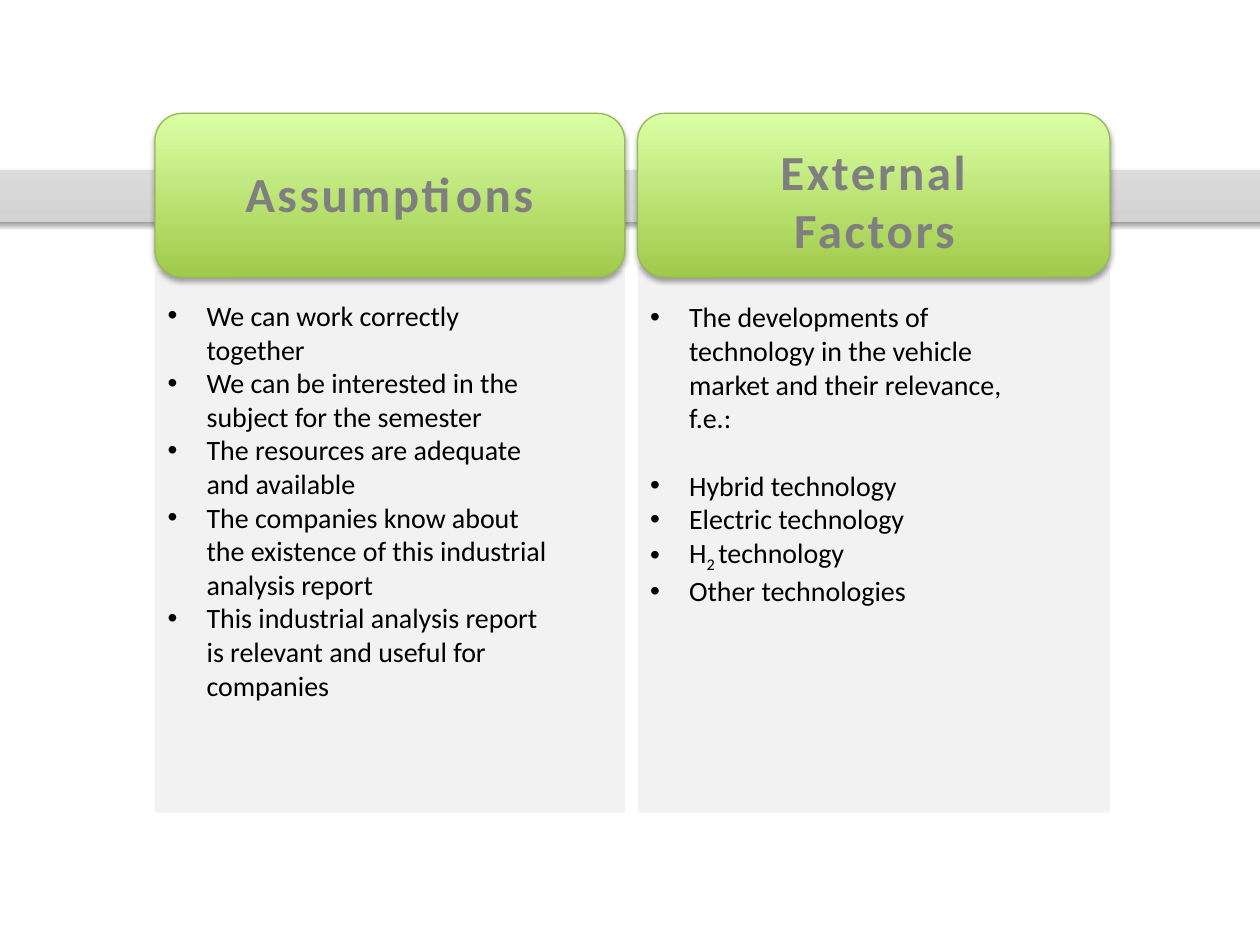
from lxml import etree
from pptx import Presentation
from pptx.dml.color import RGBColor
from pptx.enum.shapes import MSO_SHAPE
from pptx.enum.text import MSO_ANCHOR, MSO_AUTO_SIZE, PP_ALIGN
from pptx.oxml.ns import qn
from pptx.util import Emu, Inches, Pt

RECTANGLE, ROUNDED = MSO_SHAPE.RECTANGLE, MSO_SHAPE.ROUNDED_RECTANGLE
MINUS = MSO_SHAPE.MATH_MINUS
TOP, GROW = MSO_ANCHOR.TOP, MSO_AUTO_SIZE.SHAPE_TO_FIT_TEXT
LEFT, CENTER = PP_ALIGN.LEFT, PP_ALIGN.CENTER
COMPARISON_LAYOUT = 4
FONT = "Calibri"

# Content: each paragraph is a list of (text, baseline in percent) spans
COLUMNS = [
    dict(
        heading="Assumptions",
        panel=(1.23, 2.15, 3.73, 4.3),
        heading_at=(1.7, 1.25, 2.78, 0.57),
        list_at=(1.23, 2.32, 3.24, 3.33),
        items=[
            [("We can work correctly together", 0)],
            [("We can be interested in the subject for the semester", 0)],
            [("The resources are adequate and available", 0)],
            [("The companies know about the existence of this industrial analysis report", 0)],
            [("This industrial analysis report is relevant and useful for companies", 0)],
        ],
        gaps={},
    ),
    dict(
        heading="External Factors",
        panel=(5.06, 2.11, 3.75, 4.34),
        heading_at=(5.42, 1.07, 3.04, 1.04),
        list_at=(5.06, 2.33, 3.26, 2.52),
        items=[
            [("The developments of technology in the vehicle market and their relevance, f.e.:", 0)],
            [("Hybrid technology", 0)],
            [("Electric technology", 0)],
            [("H", 0), ("2 ", -25), ("technology", 0)],
            [("Other technologies", 0)],
        ],
        gaps={1: 19.5},
    ),
]
BAR_AT = (-2.03, 0.69, 13.9, 1.73)
TAB_TOP, TAB_HEIGHT = 0.9, 1.3
BAR_STOPS = [(0, "BDBDBD"), (35, "D1D1D1"), (100, "EEEEEE")]
TAB_STOPS = [(0, "A0CA4A"), (100, "DAFFA5")]

deck = Presentation()
deck.slide_width, deck.slide_height = Inches(10), Inches(7.5)
page = deck.slides.add_slide(deck.slide_layouts[COMPARISON_LAYOUT])


def color(value):
    return RGBColor.from_string(value)


def add_child(parent, tag, **attributes):
    child = etree.SubElement(parent, qn(tag))
    for name, value in attributes.items():
        child.set(name, str(value))
    return child


def add_box(kind, at, fill=None, stops=None, line=None, shadow=None):
    box = page.shapes.add_shape(kind, *map(Inches, at))
    if stops:
        box.fill.gradient()
        box.fill.gradient_angle = 90
        stop_list = box._element.spPr.find(".//" + qn("a:gsLst"))
        for stop in list(stop_list):
            stop_list.remove(stop)
        for position, value in stops:
            stop = add_child(stop_list, "a:gs", pos=position * 1000)
            add_child(stop, "a:srgbClr", val=value)
    else:
        box.fill.solid()
        box.fill.fore_color.rgb = color(fill)
    if line:
        box.line.color.rgb = color(line)
        box.line.width = Pt(0.75)
    else:
        box.line.fill.background()
    box.shadow.inherit = False
    if shadow:
        alpha, blur, distance = shadow
        effects = box._element.spPr.find(qn("a:effectLst"))
        outer = add_child(effects, "a:outerShdw", blurRad=Pt(blur), dist=Pt(distance),
                          dir=90 * 60000, rotWithShape=0)
        shade = add_child(outer, "a:srgbClr", val="000000")
        add_child(shade, "a:alpha", val=alpha * 1000)


def write_text(box, at, paragraphs, size, ink, bold=False, align=LEFT,
               spacing=0, bullets=False, gaps=None):
    box.left, box.top, box.width, box.height = map(Inches, at)
    frame = box.text_frame
    frame.word_wrap, frame.auto_size, frame.vertical_anchor = True, GROW, TOP
    for index, spans in enumerate(paragraphs):
        para = frame.add_paragraph() if index else frame.paragraphs[0]
        para.alignment = align
        para.space_before = Pt((gaps or {}).get(index, 0))
        if bullets:
            properties = para._p.get_or_add_pPr()
            indent = Inches(0.31)
            properties.set("marL", str(indent))
            properties.set("indent", str(Emu(-indent)))
            add_child(properties, "a:buFont", typeface="Arial")
            add_child(properties, "a:buChar", char="•")
        for text, baseline in spans:
            span = para.add_run()
            span.text = text
            span.font.name, span.font.size, span.font.bold = FONT, Pt(size), bold
            span.font.color.rgb = color(ink)
            if spacing:
                span.font._element.set("spc", str(int(spacing * 100)))
            if baseline:
                span.font._element.set("baseline", str(baseline * 1000))


# Panels, then the bar across the page, then the green tabs
for column in COLUMNS:
    add_box(RECTANGLE, column["panel"], fill="F2F2F2")
add_box(MINUS, BAR_AT, stops=BAR_STOPS, shadow=(38, 3.1, 1.6))
for column in COLUMNS:
    left, _, width, _ = column["panel"]
    add_box(ROUNDED, (left, TAB_TOP, width, TAB_HEIGHT), stops=TAB_STOPS,
            line="98B955", shadow=(35, 3.1, 1.8))

# Headings and lists go in the layout's placeholders, brought to the front
holders = {holder.placeholder_format.idx: holder for holder in page.placeholders}
for number, column in enumerate(COLUMNS):
    heading, body = holders[1 + 2 * number], holders[2 + 2 * number]
    write_text(heading, column["heading_at"], [[(column["heading"], 0)]], 28, "7F7F7F",
               bold=True, align=CENTER, spacing=1.5)
    write_text(body, column["list_at"], column["items"], 16, "000000",
               bullets=True, gaps=column["gaps"])
    for holder in (heading, body):
        page.shapes._spTree.append(holder._element)

# Remove every placeholder left empty
for holder in list(page.placeholders):
    if not holder.text_frame.text:
        page.shapes._spTree.remove(holder._element)

deck.save("out.pptx")
